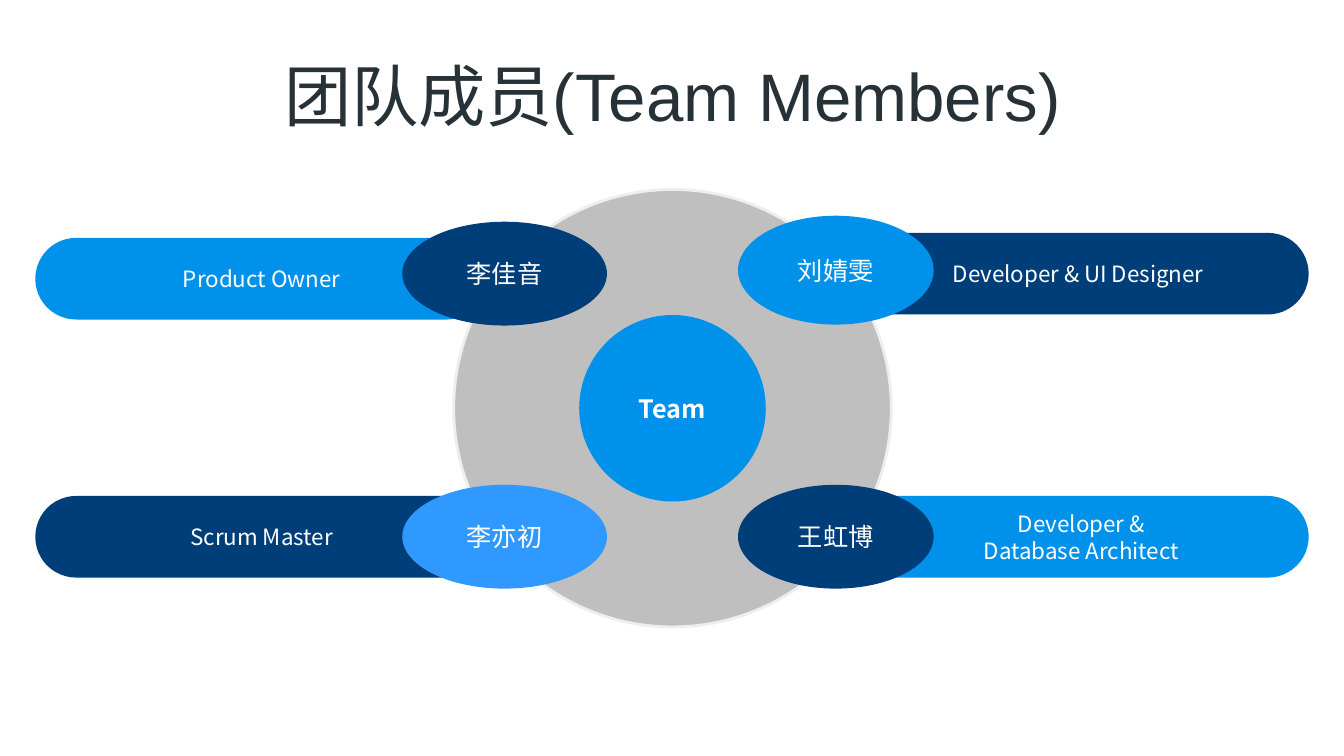
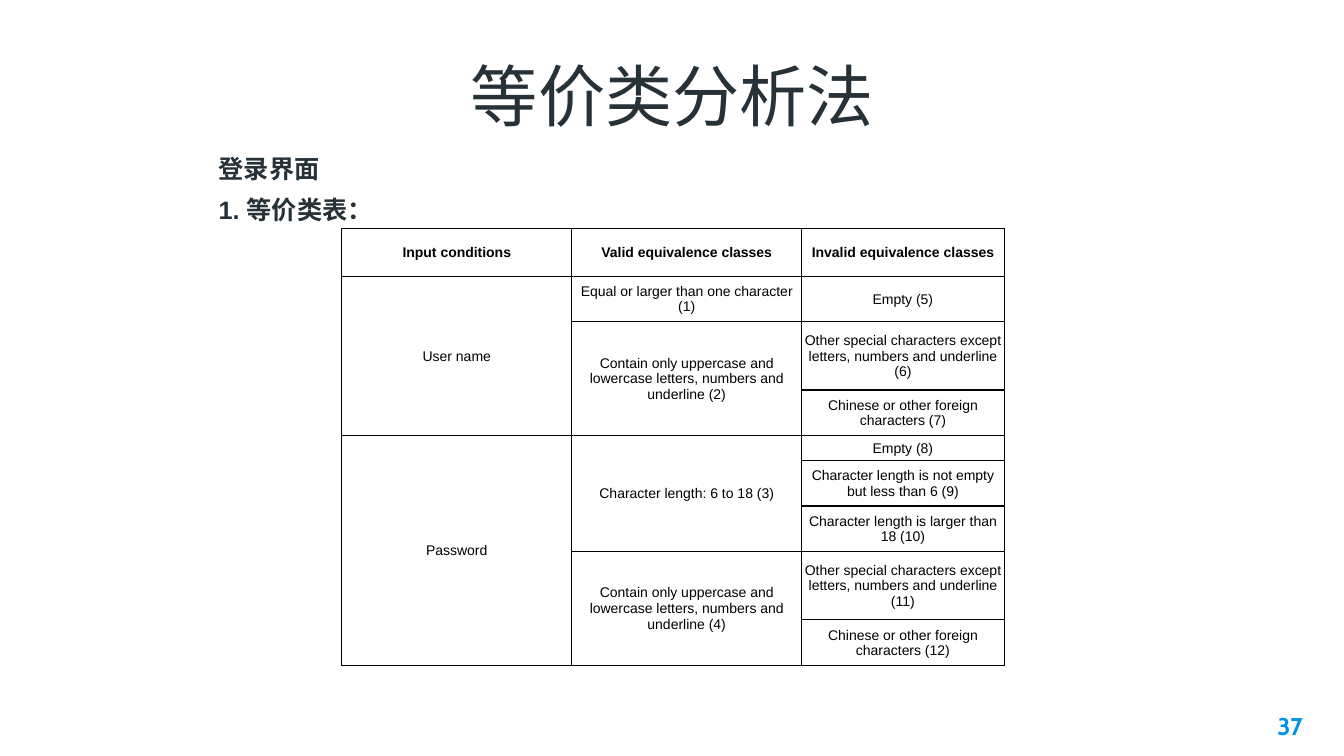
from dataclasses import dataclass

from lxml import etree
from pptx import Presentation
from pptx.dml.color import RGBColor
from pptx.enum.shapes import MSO_SHAPE as SHAPE
from pptx.enum.text import MSO_ANCHOR as ANCHOR, PP_ALIGN as ALIGN
from pptx.oxml import parse_xml
from pptx.oxml.ns import nsdecls
from pptx.util import Inches, Pt


@dataclass(frozen=True)
class Theme:
    ink: str = "263238"
    black: str = "000000"
    white: str = "FFFFFF"
    blue: str = "0091EA"
    navy: str = "003E7A"
    sky: str = "2F99FF"
    ring: str = "BFBFBF"
    ring_edge: str = "ECEFF1"
    sans: str = "Arial"
    label: str = "Noto Sans CJK SC"
    number: str = "Cabin"
    title_size: float = 48
    name_size: float = 18
    page_size: float = 17.3
    role_size: float = 16
    table_size: float = 10


T = Theme()

TEAM_TITLE = "团队成员(Team Members)"
HUB = "Team"
HUB_CENTER = (6.67, 4.05)
RING_SIZE, HUB_SIZE = 4.34, 1.85
PILL_HEIGHT = 0.81
MEMBERS = [
    {"name": "刘婧雯", "role": "Developer & UI Designer",
     "pill": (8.41, 2.31, 4.57), "oval": (7.32, 2.14, 1.94, 1.08),
     "pill_fill": T.navy, "oval_fill": T.blue},
    {"name": "王虹博", "role": "Developer &\nDatabase Architect",
     "pill": (8.47, 4.92, 4.51), "oval": (7.32, 4.81, 1.94, 1.03),
     "pill_fill": T.blue, "oval_fill": T.navy},
    {"name": "李佳音", "role": "Product Owner",
     "pill": (0.35, 2.36, 4.49), "oval": (3.99, 2.2, 2.03, 1.03),
     "pill_fill": T.blue, "oval_fill": T.navy},
    {"name": "李亦初", "role": "Scrum Master",
     "pill": (0.35, 4.92, 4.49), "oval": (3.99, 4.81, 2.03, 1.03),
     "pill_fill": T.navy, "oval_fill": T.sky},
]

CLASSES_TITLE = "等价类分析法"
HEADINGS = ["登录界面", "1. 等价类表："]
PAGE = "37"
HEADER = ["Input conditions", "Valid equivalence classes", "Invalid equivalence classes"]
CLASSES = [
    ("User name", [
        ("Equal or larger than one character (1)", ["Empty (5)"]),
        ("Contain only uppercase and lowercase letters, numbers and underline (2)", [
            "Other special characters except letters, numbers and underline (6)",
            "Chinese or other foreign characters (7)"]),
    ]),
    ("Password", [
        ("Character length: 6 to 18 (3)", [
            "Empty (8)",
            "Character length is not empty but less than 6 (9)",
            "Character length is larger than 18 (10)"]),
        ("Contain only uppercase and lowercase letters, numbers and underline (4)", [
            "Other special characters except letters, numbers and underline (11)",
            "Chinese or other foreign characters (12)"]),
    ]),
]
COL_WIDTHS = [2.28, 2.28, 2.01]
ROW_HEIGHTS = [0.47, 0.45, 0.68, 0.45, 0.25, 0.45, 0.45, 0.68, 0.45]


def rgb(color):
    return RGBColor.from_string(color)


def write(tf, text, size, color, font, align=ALIGN.CENTER, bold=False):
    tf.text = text
    for p in tf.paragraphs:
        p.alignment = align
        for r in p.runs:
            r.font.size, r.font.name, r.font.bold = Pt(size), font, bold
            r.font.color.rgb = rgb(color)


def add_text(slide, box, text, size, color, font, align, bold=False,
             anchor=ANCHOR.TOP, inset=None):
    tf = slide.shapes.add_textbox(*map(Inches, box)).text_frame
    tf.word_wrap = True
    tf.vertical_anchor = anchor
    if inset is not None:
        tf.margin_left = tf.margin_right = tf.margin_top = tf.margin_bottom = Inches(inset)
    write(tf, text, size, color, font, align, bold)


def add_slide(prs, title):
    slide = prs.slides.add_slide(prs.slide_layouts[6])
    add_text(slide, (1.15, 0.45, 11.04, 1.02), title, T.title_size, T.ink, T.sans,
             ALIGN.CENTER, anchor=ANCHOR.BOTTOM, inset=0.13)
    return slide


def add_block(slide, kind, box, fill, text="", size=T.name_size, bold=False):
    sp = slide.shapes.add_shape(kind, *map(Inches, box))
    sp.shadow.inherit = False
    sp.fill.solid()
    sp.fill.fore_color.rgb = rgb(fill)
    sp.line.fill.background()
    if text:
        sp.text_frame.vertical_anchor = ANCHOR.MIDDLE
        write(sp.text_frame, text, size, T.white, T.label, bold=bold)
    return sp


def add_circle(slide, center, size, fill, text="", bold=False):
    x, y = center
    box = (x - size / 2, y - size / 2, size, size)
    return add_block(slide, SHAPE.OVAL, box, fill, text, bold=bold)


def build_team(prs):
    slide = add_slide(prs, TEAM_TITLE)
    ring = add_circle(slide, HUB_CENTER, RING_SIZE, T.ring)
    ring.line.color.rgb = rgb(T.ring_edge)
    ring.line.width = Pt(2)
    add_circle(slide, HUB_CENTER, HUB_SIZE, T.blue, HUB, bold=True)
    for m in MEMBERS:
        pill = add_block(slide, SHAPE.ROUNDED_RECTANGLE, (*m["pill"], PILL_HEIGHT),
                         m["pill_fill"], m["role"], T.role_size)
        pill.adjustments[0] = 0.5
        add_block(slide, SHAPE.OVAL, m["oval"], m["oval_fill"], m["name"])


def add_borders(cell):
    tc_pr = cell._tc.get_or_add_tcPr()
    for i, side in enumerate(("lnL", "lnR", "lnT", "lnB")):
        ln = parse_xml(f'<a:{side} {nsdecls("a")} w="{Pt(1)}"><a:solidFill>'
                       f'<a:srgbClr val="{T.black}"/></a:solidFill></a:{side}>')
        tc_pr.insert(i, ln)


def fill_cell(cell, text, bold=False):
    cell.vertical_anchor = ANCHOR.MIDDLE
    cell.margin_left = cell.margin_right = cell.margin_top = Inches(0.01)
    cell.margin_bottom = 0
    write(cell.text_frame, text, T.table_size, T.black, T.sans, bold=bold)


def fill_span(table, row, col, count, text):
    cell = table.cell(row, col)
    if count > 1:
        cell.merge(table.cell(row + count - 1, col))
    fill_cell(cell, text)


def add_class_table(slide):
    frame = slide.shapes.add_table(
        len(ROW_HEIGHTS), len(COL_WIDTHS), Inches(3.39), Inches(2.27),
        Inches(sum(COL_WIDTHS)), Inches(sum(ROW_HEIGHTS)))
    table = frame.table
    table.first_row = table.horz_banding = False
    for col, width in zip(table.columns, COL_WIDTHS):
        col.width = Inches(width)
    for row, height in zip(table.rows, ROW_HEIGHTS):
        row.height = Inches(height)
    for cell in table.iter_cells():
        fill_cell(cell, "")
        cell.fill.background()
        add_borders(cell)
    for col, text in enumerate(HEADER):
        fill_cell(table.cell(0, col), text, bold=True)
    row = 1
    for condition, groups in CLASSES:
        fill_span(table, row, 0, sum(len(invalid) for _, invalid in groups), condition)
        for valid, invalid in groups:
            fill_span(table, row, 1, len(invalid), valid)
            for text in invalid:
                fill_cell(table.cell(row, 2), text)
                row += 1


def build_classes(prs):
    slide = add_slide(prs, CLASSES_TITLE)
    add_text(slide, (12.25, 6.93, 0.8, 0.57), PAGE, T.page_size, T.blue, T.number,
             ALIGN.RIGHT, bold=True, inset=0.13)
    for i, text in enumerate(HEADINGS):
        add_text(slide, (2.07, 1.47 + 0.41 * i, 2.55, 0.4), text, T.name_size, T.ink,
                 T.sans, ALIGN.LEFT, bold=True)
    add_class_table(slide)


def main():
    prs = Presentation()
    prs.slide_width, prs.slide_height = Inches(13.33), Inches(7.5)
    build_team(prs)
    build_classes(prs)
    prs.save("out.pptx")


if __name__ == "__main__":
    main()
